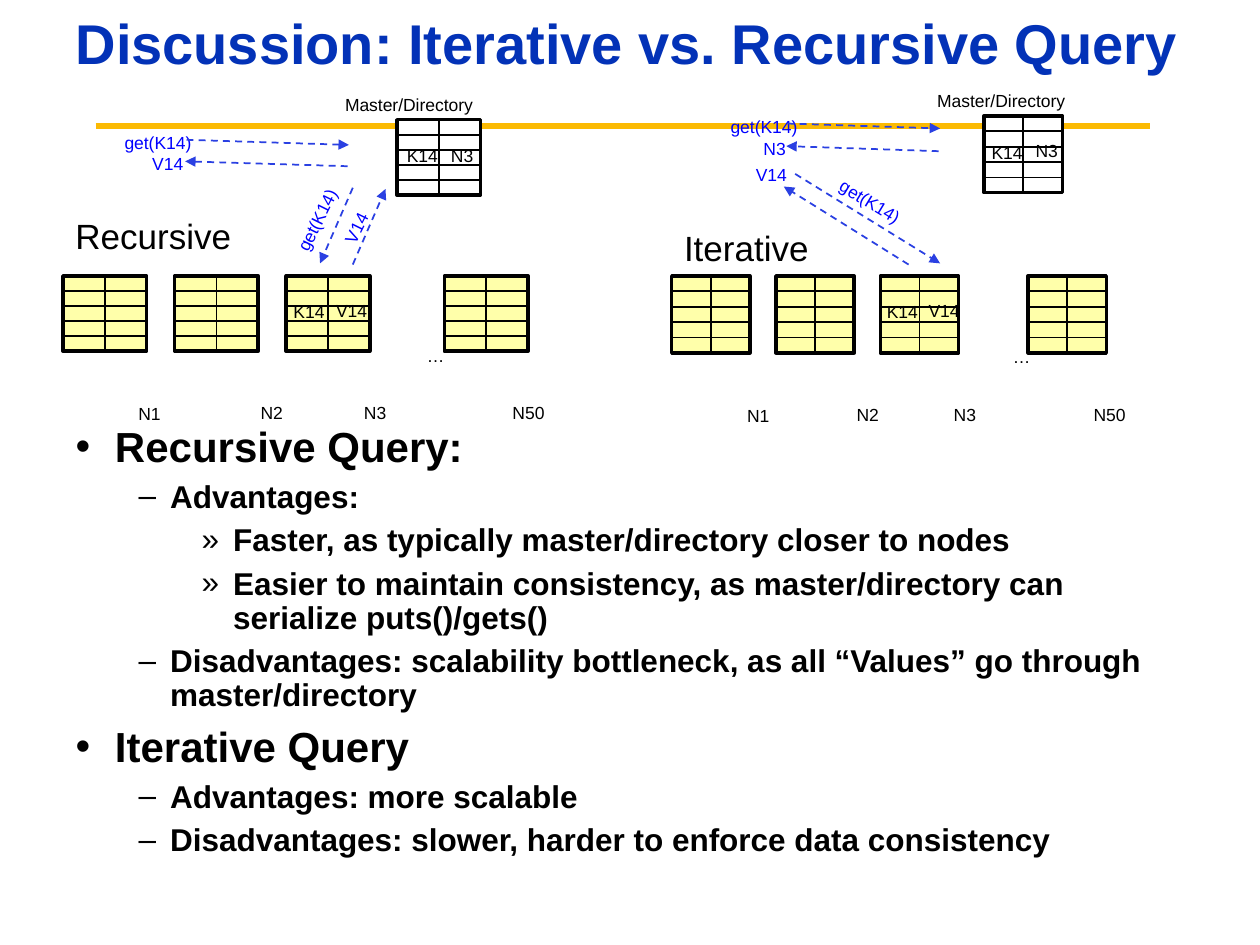
from dataclasses import dataclass

import lxml.etree
import pptx
import pptx.dml.color
import pptx.enum.dml
import pptx.enum.shapes
import pptx.enum.text
import pptx.oxml.ns
import pptx.util

Pt = pptx.util.Pt
qn = pptx.oxml.ns.qn


@dataclass(frozen=True)
class Theme:
    """Hold the colours, font and type sizes of the slide."""
    font: str = "Arial"
    title: str = "0332B7"
    text: str = "000000"
    message: str = "0000FF"
    arrow: str = "2A40E2"
    rule: str = "FBBA03"
    node: str = "FFFFAA"
    master: str = "FFFFFF"
    title_size: int = 32
    caption_size: int = 20
    label_size: int = 10
    body_sizes: tuple = (24, 18, 18)


T = Theme()
INDENTS = ((22.5, "•"), (54, "–"), (90, "»"))
WIDTHS = {"…": 24.5, "N1": 27.4, "N2": 27.4, "N3": 27.4, "N50": 33.1, "K14": 32.4, "V14": 32.4,
          "get(K14)": 53.3, "Master/Directory": 88.6, "Recursive": 104.4, "Iterative": 86.4}

BULLETS = [
    (0, "Recursive Query:"),
    (1, "Advantages:"),
    (2, "Faster, as typically master/directory closer to nodes"),
    (2, "Easier to maintain consistency, as master/directory can serialize puts()/gets()"),
    (1, "Disadvantages: scalability bottleneck, as all “Values” go through master/directory"),
    (0, "Iterative Query"),
    (1, "Advantages: more scalable"),
    (1, "Disadvantages: slower, harder to enforce data consistency"),
]

RECURSIVE = dict(
    caption=("Recursive", 0, 70.8), master=(190.8, 20.4),
    labels=[("…", 200.9, 145.7), ("N1", 36, 178.8), ("N2", 105.8, 178), ("N3", 164.9, 178),
            ("N50", 249.8, 178), ("K14", 124.6, 120.5), ("V14", 149, 119.8), ("K14", 189.4, 31.2),
            ("N3", 214.6, 31.2), ("Master/Directory", 154.1, 2.4)],
    messages=[("get(K14)", 28.1, 24, 0), ("V14", 43.9, 36.2, 0),
              ("get(K14)", 118.8, 67.6, 296.4), ("V14", 151.6, 72.4, 296.4)],
    arrows=[(70.6, 31.9, 163.4, 34.8), (165.6, 59.3, 146.9, 102.5),
            (165.6, 103.2, 184.3, 60), (162.7, 47, 69.8, 44.2)])

ITERATIVE = dict(
    caption=("Iterative", 0, 78), master=(178.6, 18.2),
    labels=[("…", 187.9, 146.4), ("N1", 36, 180.2), ("N2", 98.6, 179.5), ("N3", 154.1, 179.5),
            ("N50", 234, 179.5), ("K14", 115.9, 120.5), ("V14", 139.7, 119.8), ("K14", 175.7, 29.8),
            ("N3", 200.9, 28.3), ("Master/Directory", 144.7, 0.2)],
    messages=[("get(K14)", 26.6, 14.6, 0), ("N3", 45.4, 27.6, 0),
              ("V14", 41, 42, 0), ("get(K14)", 87.1, 57.8, 31.4)],
    arrows=[(66.2, 22.6, 153.4, 25.4), (70.6, 51.4, 153.4, 102.5),
            (135.4, 103.2, 64.1, 58.6), (152.6, 38.4, 65.5, 35.5)])


def rgb(value):
    """Turn a hex string into a colour."""
    return pptx.dml.color.RGBColor.from_string(value)


def add_text(p, text, size=T.label_size, color=T.text, bold=False):
    """Add a formatted run to a paragraph."""
    r = p.add_run()
    r.text = text
    r.font.name = T.font
    r.font.size = Pt(size)
    r.font.bold = bold
    r.font.color.rgb = rgb(color)


def add_label(shapes, text, x, y, rotation=0, **fmt):
    """Place one unwrapped line of text."""
    height = 1.15 * fmt.get("size", T.label_size) + 8
    sp = shapes.add_textbox(Pt(x), Pt(y), Pt(WIDTHS[text]), Pt(height))
    sp.rotation = rotation
    tf = sp.text_frame
    tf.word_wrap = False
    tf.auto_size = pptx.enum.text.MSO_AUTO_SIZE.SHAPE_TO_FIT_TEXT
    add_text(tf.paragraphs[0], text, **fmt)


def add_line(shapes, x1, y1, x2, y2, color=T.text, width=1, arrow=False):
    """Draw a straight line, or a dashed arrow pointing at its end."""
    kind = pptx.enum.shapes.MSO_CONNECTOR.STRAIGHT
    sp = shapes.add_connector(kind, Pt(x1), Pt(y1), Pt(x2), Pt(y2))
    sp.line.color.rgb = rgb(color)
    sp.line.width = Pt(width)
    if arrow:
        sp.line.dash_style = pptx.enum.dml.MSO_LINE.DASH
        lxml.etree.SubElement(sp.line._get_or_add_ln(), qn("a:tailEnd"), type="triangle")
    lxml.etree.SubElement(sp._element.spPr, qn("a:effectLst"))


def add_store(shapes, x, y, w, h, fill, rows=5):
    """Draw a two-column key and value store."""
    sp = shapes.add_shape(pptx.enum.shapes.MSO_SHAPE.RECTANGLE, Pt(x), Pt(y), Pt(w), Pt(h))
    sp.shadow.inherit = False
    sp.fill.solid()
    sp.fill.fore_color.rgb = rgb(fill)
    sp.line.color.rgb = rgb(T.text)
    sp.line.width = Pt(2)
    add_line(shapes, x + w / 2, y, x + w / 2, y + h)
    for i in range(rows):
        add_line(shapes, x, y + i * h / rows, x + w, y + i * h / rows)


def add_panel(s, x, y, w, store_h, query):
    """Draw the nodes, master and messages of one kind of query."""
    shapes = s.shapes.add_group_shape().shapes
    store_w, pitch = 0.18 * w, 0.24 * w
    for left in (0, pitch, 2 * pitch, w - store_w):
        add_store(shapes, x + left, y + 109.7, store_w, store_h, T.node)
    mx, my = query["master"]
    add_store(shapes, x + mx, y + my, store_w, store_h, T.master)
    for text, dx, dy in query["labels"]:
        add_label(shapes, text, x + dx, y + dy)
    for text, dx, dy, rotation in query["messages"]:
        add_label(shapes, text, x + dx, y + dy, rotation, color=T.message)
    for x1, y1, x2, y2 in query["arrows"]:
        add_line(shapes, x + x1, y + y1, x + x2, y + y2, color=T.arrow, arrow=True)
    text, dx, dy = query["caption"]
    add_label(s.shapes, text, x + dx, y + dy, size=T.caption_size)


def place(sp, x, y, w, h):
    """Move a placeholder into a box and return its text frame."""
    sp.left, sp.top, sp.width, sp.height = Pt(x), Pt(y), Pt(w), Pt(h)
    tf = sp.text_frame
    tf.word_wrap = True
    tf.auto_size = pptx.enum.text.MSO_AUTO_SIZE.NONE
    return tf


def add_title(s, x, y, w, h, text):
    """Fill the title and draw the rule below it."""
    tf = place(s.shapes.title, x, y, w, h)
    tf.vertical_anchor = pptx.enum.text.MSO_ANCHOR.MIDDLE
    p = tf.paragraphs[0]
    p.alignment = pptx.enum.text.PP_ALIGN.LEFT
    p.line_spacing = 0.9
    add_text(p, text, size=T.title_size, color=T.title, bold=True)
    add_line(s.shapes, x + 18.7, y + 66.2, x + 621.4, y + 66.2, color=T.rule, width=3.75)


def add_body(s, x, y, w, h, bullets):
    """Fill the body placeholder with the bulleted outline."""
    tf = place(s.placeholders[1], x, y, w, h)
    for i, (level, text) in enumerate(bullets):
        p = tf.add_paragraph() if i else tf.paragraphs[0]
        size = T.body_sizes[level]
        margin, bullet = INDENTS[level]
        p.level = level
        p.line_spacing = 0.9
        p.space_before = Pt(0.3 * size if i else 0)
        pPr = p._p.get_or_add_pPr()
        pPr.set("marL", str(Pt(margin)))
        pPr.set("indent", str(-Pt(18 if level else margin)))
        lxml.etree.SubElement(pPr, qn("a:buChar"), char=bullet)
        add_text(p, text, size=size, bold=True)


def main():
    """Build and save the slide."""
    prs = pptx.Presentation()
    prs.slide_width, prs.slide_height = Pt(720), Pt(540)
    s = prs.slides.add_slide(prs.slide_layouts[1])
    add_title(s, 36, 5.8, 660, 41.8, "Discussion: Iterative vs. Recursive Query")
    add_body(s, 36, 239.8, 635.8, 288, BULLETS)
    add_panel(s, 36, 48, 265.7, 43, RECURSIVE)
    add_panel(s, 383.8, 48, 248.4, 44, ITERATIVE)
    prs.save("out.pptx")


if __name__ == "__main__":
    main()
